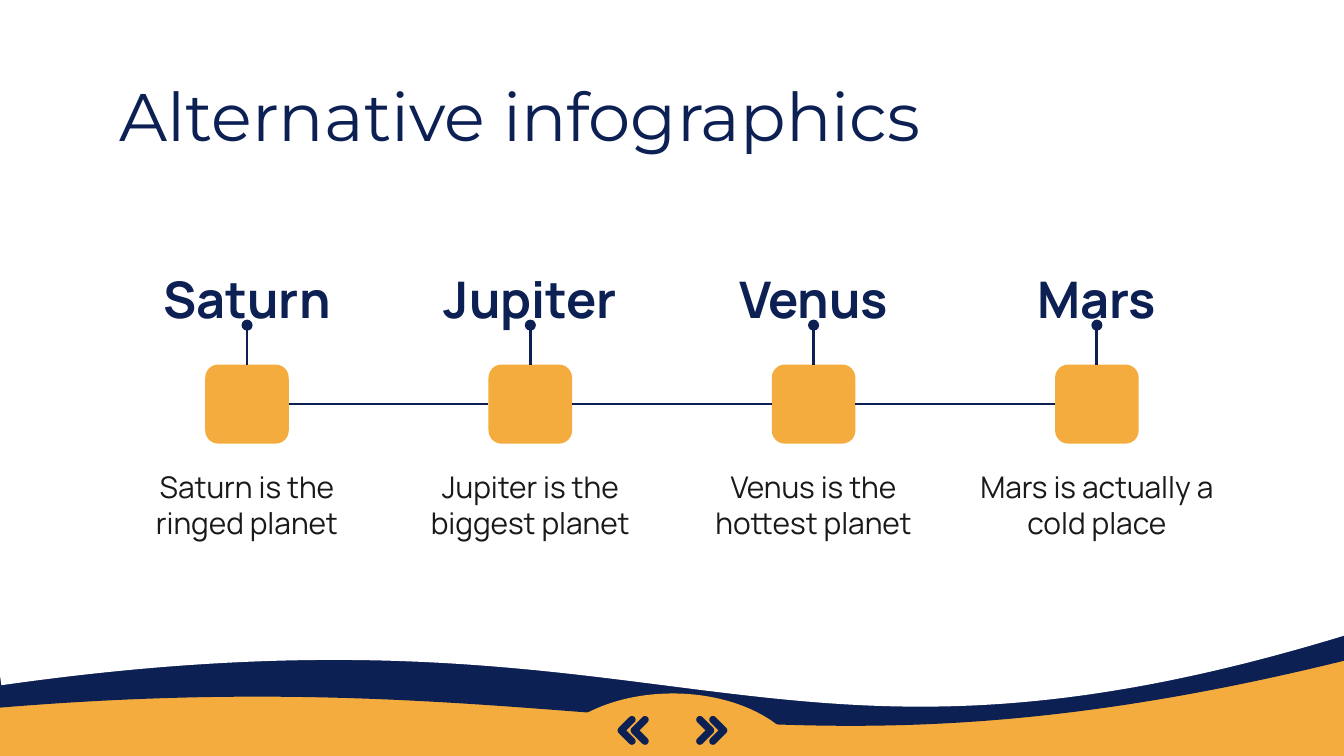
from itertools import pairwise
from math import cos, radians, sin, sqrt

from lxml.etree import SubElement
from pptx import Presentation
from pptx.dml.color import RGBColor
from pptx.enum.shapes import MSO_CONNECTOR, MSO_SHAPE
from pptx.enum.text import MSO_ANCHOR, PP_ALIGN
from pptx.oxml.ns import qn
from pptx.util import Pt

NAVY = RGBColor(0x0C, 0x20, 0x54)
ORANGE = RGBColor(0xF3, 0xAC, 0x3D)
WHITE = RGBColor(0xFF, 0xFF, 0xFF)
INK = RGBColor(0x19, 0x19, 0x19)

PLANETS = [
    ("Saturn", "Saturn is the ringed planet"),
    ("Jupiter", "Jupiter is the biggest planet"),
    ("Venus", "Venus is the hottest planet"),
    ("Mars", "Mars is actually a cold place"),
]


def paint(shape, color):
    shape.shadow.inherit = False
    shape.fill.solid()
    shape.fill.fore_color.rgb = color
    shape.line.fill.background()


def add_block(shapes, kind, box, color, rotation=0, flipped=False):
    block = shapes.add_shape(kind, *map(Pt, box))
    paint(block, color)
    block.rotation = rotation
    if flipped:
        block._element.spPr.xfrm.set("flipH", "1")
    return block


def write(frame, text, size, font, color, align, side_inset=0, bold=False):
    frame.word_wrap = True
    frame.vertical_anchor = MSO_ANCHOR.MIDDLE
    frame.margin_left = frame.margin_right = Pt(side_inset)
    frame.margin_top = frame.margin_bottom = Pt(7.2)
    frame.text = text
    paragraph = frame.paragraphs[0]
    paragraph.alignment = align
    paragraph.font.size = Pt(size)
    paragraph.font.name = font
    paragraph.font.bold = bold
    paragraph.font.color.rgb = color


def add_line(shapes, start, end, width, dotted_start=False):
    line = shapes.add_connector(MSO_CONNECTOR.STRAIGHT, *map(Pt, start + end))
    line.line.color.rgb = NAVY
    line.line.width = Pt(width)
    if dotted_start:
        SubElement(line.line._get_or_add_ln(), qn("a:headEnd"), type="oval")
    SubElement(line._element.spPr, qn("a:effectLst"))
    return line


def add_waves(shapes, left, top):
    for dx, dy, width, color in ((0, 13, 975.6, NAVY), (126.7, 0, 787.7, WHITE)):
        add_block(shapes, MSO_SHAPE.FLOWCHART_DOCUMENT,
                  (left + dx, top + dy, width, 469.4), color, 351.9, True)


def add_title(slide, left, top, width, height):
    title = slide.shapes.title
    title.left, title.top = Pt(left), Pt(top)
    title.width, title.height = Pt(width), Pt(height)
    write(title.text_frame, "Alternative infographics", 36, "Montserrat", NAVY,
          PP_ALIGN.LEFT, 7.2)
    slide.shapes._spTree.append(title._element)


def add_chevron(shapes, left, top, direction):
    radius, arm = 1.95, 5.75
    half_width = radius + arm / 2

    def arc(x, y, first, last):
        return [(x + radius * cos(radians(angle)), y + radius * sin(radians(angle)))
                for angle in range(first, last + 1, 15)]

    outline = (arc(radius, radius, 135, 315)
               + arc(radius + arm, radius + arm, -45, 45)
               + arc(radius, radius + 2 * arm, 45, 225)
               + [(radius + arm - radius * sqrt(2), radius + arm)])
    points = [(Pt(left + half_width + direction * (x - half_width)), Pt(top + y))
              for x, y in outline]
    builder = shapes.build_freeform(*points[0])
    builder.add_line_segments(points[1:], close=True)
    paint(builder.convert_to_shape(), NAVY)


def add_navigation(shapes, left, top, width, height):
    mound = add_block(shapes, MSO_SHAPE.PIE, (left, top, width, height),
                      ORANGE, 180, True)
    mound.adjustments[0] = 0
    mound.adjustments[1] = 108.31
    for dx, direction in ((85.7, 1), (43.6, -1)):
        arrows = shapes.add_group_shape().shapes
        for step in (0, 7):
            add_chevron(arrows, left + dx + step, top + 12.1, direction)


def add_planet(shapes, left, top, width, name, fact):
    center = left + width / 2
    heading = shapes.add_textbox(*map(Pt, (center - 53.6, top, 107.2, 28.8)))
    write(heading.text_frame, name, 27, "Manrope", NAVY, PP_ALIGN.CENTER, bold=True)
    square = add_block(shapes, MSO_SHAPE.ROUNDED_RECTANGLE,
                       (center - 22.4, top + 49.9, 44.8, 42.4), ORANGE)
    description = shapes.add_textbox(*map(Pt, (left, top + 103, width, 43.9)))
    write(description.text_frame, fact, 16, "Manrope", INK, PP_ALIGN.CENTER)
    add_line(shapes, (center, top + 28.8), (center, top + 49.9), 1.5, True)
    return square


def add_timeline(shapes, left, top, width):
    column = 126.7
    pitch = (width - column) / (len(PLANETS) - 1)
    squares = [add_planet(shapes, left + i * pitch, top, column, name, fact)
               for i, (name, fact) in enumerate(PLANETS)]
    for before, after in pairwise(squares):
        link = add_line(shapes, (0, 0), (0, 0), 0.75)
        link.begin_connect(before, 3)
        link.end_connect(after, 1)


def main():
    deck = Presentation()
    deck.slide_width, deck.slide_height = Pt(720), Pt(405)
    slide = deck.slides.add_slide(deck.slide_layouts[5])
    slide.background.fill.solid()
    slide.background.fill.fore_color.rgb = ORANGE
    add_waves(slide.shapes, -149.8, -63.4)
    add_title(slide, 56.9, 42.5, 607, 38.2)
    add_navigation(slide.shapes, 287.3, 371.5, 146.2, 94.3)
    add_timeline(slide.shapes, 69, 145.4, 582)
    deck.save("out.pptx")


if __name__ == "__main__":
    main()
